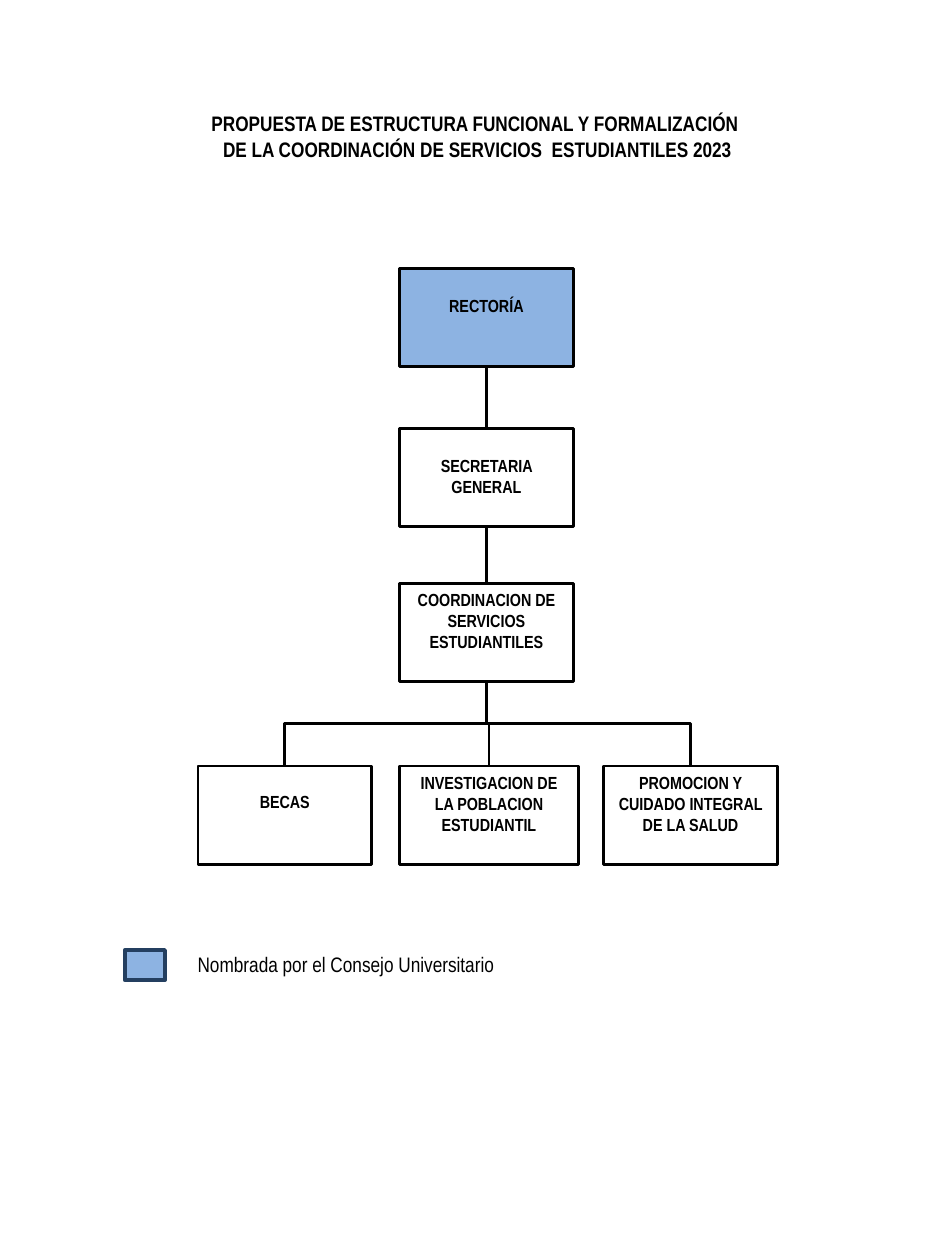
from pptx import Presentation
from pptx import util as u
from pptx.dml.color import RGBColor
from pptx.enum import shapes, text
from lxml import etree

Pt = u.Pt
FONT = "Arial Narrow"
BLACK, BLUE, NAVY = "000000", "8DB3E2", "243F60"
BOX_W, BOX_H = 99.36, 56.16
TOP, BOTTOM = 0, 2  # connection sites of a rectangle
A_NS = "http://schemas.openxmlformats.org/drawingml/2006/main"


def rgb(hex_color):
    return RGBColor.from_string(hex_color)


def add_run(p, content, size, bold=False):
    r = p.add_run()
    r.text = content
    r.font.name = FONT
    r.font.size = Pt(size)
    r.font.bold = bold
    r.font.color.rgb = rgb(BLACK)


def set_frame(tf, top=3.6):
    tf.word_wrap = True
    tf.auto_size = text.MSO_AUTO_SIZE.NONE
    tf.vertical_anchor = text.MSO_ANCHOR.TOP
    tf.margin_left = tf.margin_right = Pt(7.2)
    tf.margin_top, tf.margin_bottom = Pt(top), Pt(3.6)


def add_title(s, lines, x, y, w, h):
    sp = s.shapes.title
    sp.left, sp.top, sp.width, sp.height = Pt(x), Pt(y), Pt(w), Pt(h)
    tf = sp.text_frame
    set_frame(tf)
    for i, line in enumerate(lines):
        p = tf.add_paragraph() if i else tf.paragraphs[0]
        p.alignment = text.PP_ALIGN.CENTER
        add_run(p, line, 12, bold=True)


def add_box(s, x, y, w=BOX_W, h=BOX_H, label="", top=3.6, fill=None,
            line=BLACK, weight=1.5, kind=shapes.MSO_SHAPE.RECTANGLE):
    sp = s.shapes.add_shape(kind, Pt(x), Pt(y), Pt(w), Pt(h))
    sp.shadow.inherit = False
    if fill:
        sp.fill.solid()
        sp.fill.fore_color.rgb = rgb(fill)
    else:
        sp.fill.background()
    sp.line.color.rgb = rgb(line)
    sp.line.width = Pt(weight)
    if label:
        set_frame(sp.text_frame, top)
        p = sp.text_frame.paragraphs[0]
        p.alignment = text.PP_ALIGN.CENTER
        add_run(p, label, 10, bold=True)
    return sp


def add_link(s, parent, child, kind):
    cn = s.shapes.add_connector(kind, 0, 0, 0, 0)
    cn.begin_connect(parent, BOTTOM)
    cn.end_connect(child, TOP)
    cn.line.color.rgb = rgb(BLACK)
    cn.line.width = Pt(1.5)
    etree.SubElement(cn._element.spPr, f"{{{A_NS}}}effectLst")
    return cn


def add_elbow(s, parent, child):
    """Link that leaves downwards: a turned elbow around the same centre."""
    cn = add_link(s, parent, child, shapes.MSO_CONNECTOR.ELBOW)
    x1, y1, x2, y2 = cn.begin_x, cn.begin_y, cn.end_x, cn.end_y
    w, h = y2 - y1, abs(x2 - x1)
    cn.left, cn.top = (x1 + x2 - w) // 2, (y1 + y2 - h) // 2
    cn.width, cn.height = w, h
    to_right = x2 > x1
    xfrm = cn._element.spPr.find(f"{{{A_NS}}}xfrm")
    xfrm.set("rot", str((270 if to_right else 90) * 60000))
    xfrm.set("flipH", "1" if to_right else "0")
    xfrm.set("flipV", "0")


def add_legend(s, label):
    add_box(s, 71.28, 542.88, 23.04, 17.28, fill=BLUE, line=NAVY, weight=2)
    sp = s.shapes.add_textbox(Pt(105.84), Pt(540), Pt(221.04), Pt(22.32))
    set_frame(sp.text_frame)
    add_run(sp.text_frame.paragraphs[0], label, 12)


def main():
    prs = Presentation()
    prs.slide_width, prs.slide_height = Pt(540), Pt(720)
    s = prs.slides.add_slide(prs.slide_layouts[5])

    add_title(s, ["PROPUESTA DE ESTRUCTURA FUNCIONAL Y FORMALIZACIÓN ",
                  "DE LA COORDINACIÓN DE SERVICIOS  ESTUDIANTILES 2023"],
              92.16, 59.76, 361.44, 37.44)

    # Chain of command
    x = 228.24
    chain = [
        add_box(s, x, 153.36, label="RECTORÍA", top=15, fill=BLUE,
                kind=shapes.MSO_SHAPE.FLOWCHART_PROCESS),
        add_box(s, x, 244.8, label="SECRETARIA GENERAL", top=15),
        add_box(s, x, 333.36, top=3,
                label="COORDINACION DE SERVICIOS ESTUDIANTILES"),
    ]
    for parent, child in zip(chain, chain[1:]):
        add_link(s, parent, child, shapes.MSO_CONNECTOR.STRAIGHT)

    # Areas under the coordination
    areas = [
        (113.04, BOX_W, 14.5, "BECAS"),
        (x, 102.24, 3.6, "INVESTIGACION DE LA POBLACION ESTUDIANTIL"),
        (344.88, BOX_W, 3.6, "PROMOCION Y CUIDADO INTEGRAL DE LA SALUD"),
    ]
    for left, width, top, label in areas:
        area = add_box(s, left, 437.76, width, label=label, top=top)
        add_elbow(s, chain[-1], area)

    add_legend(s, "Nombrada por el Consejo Universitario")
    prs.save("out.pptx")


if __name__ == "__main__":
    main()
